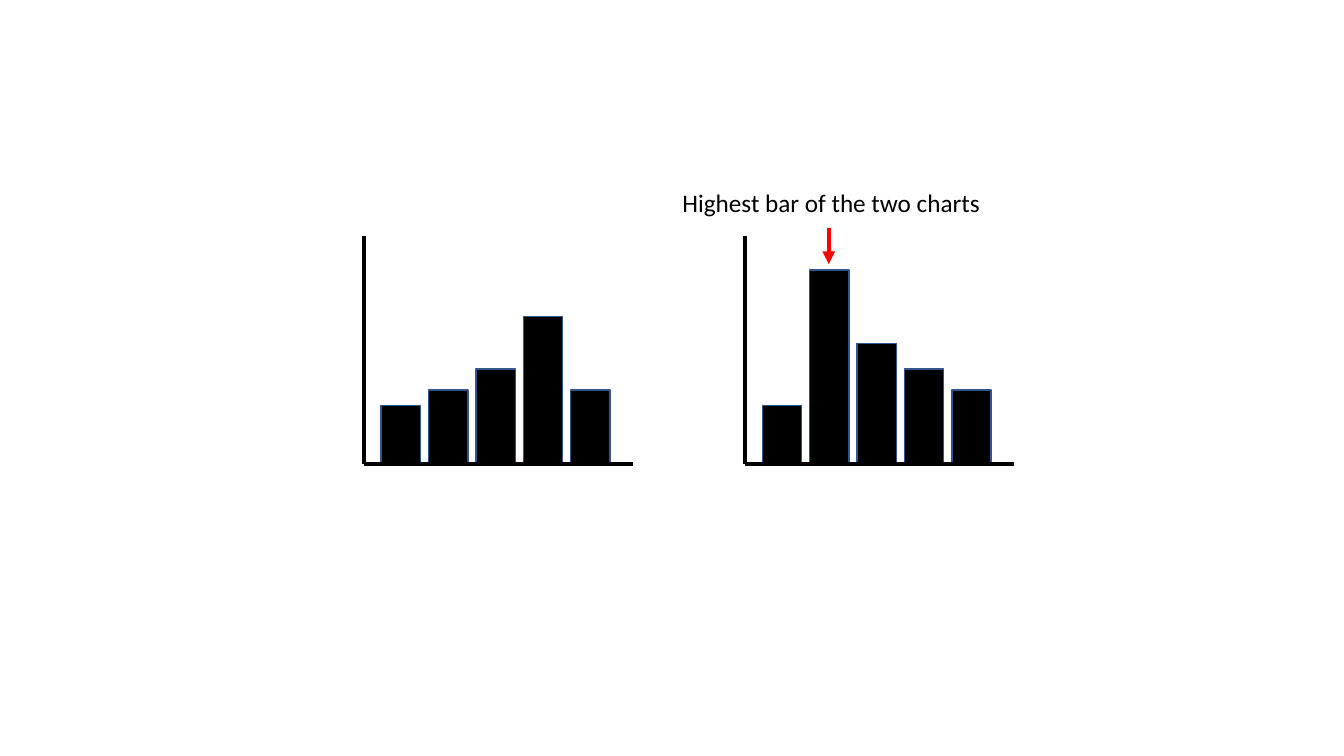
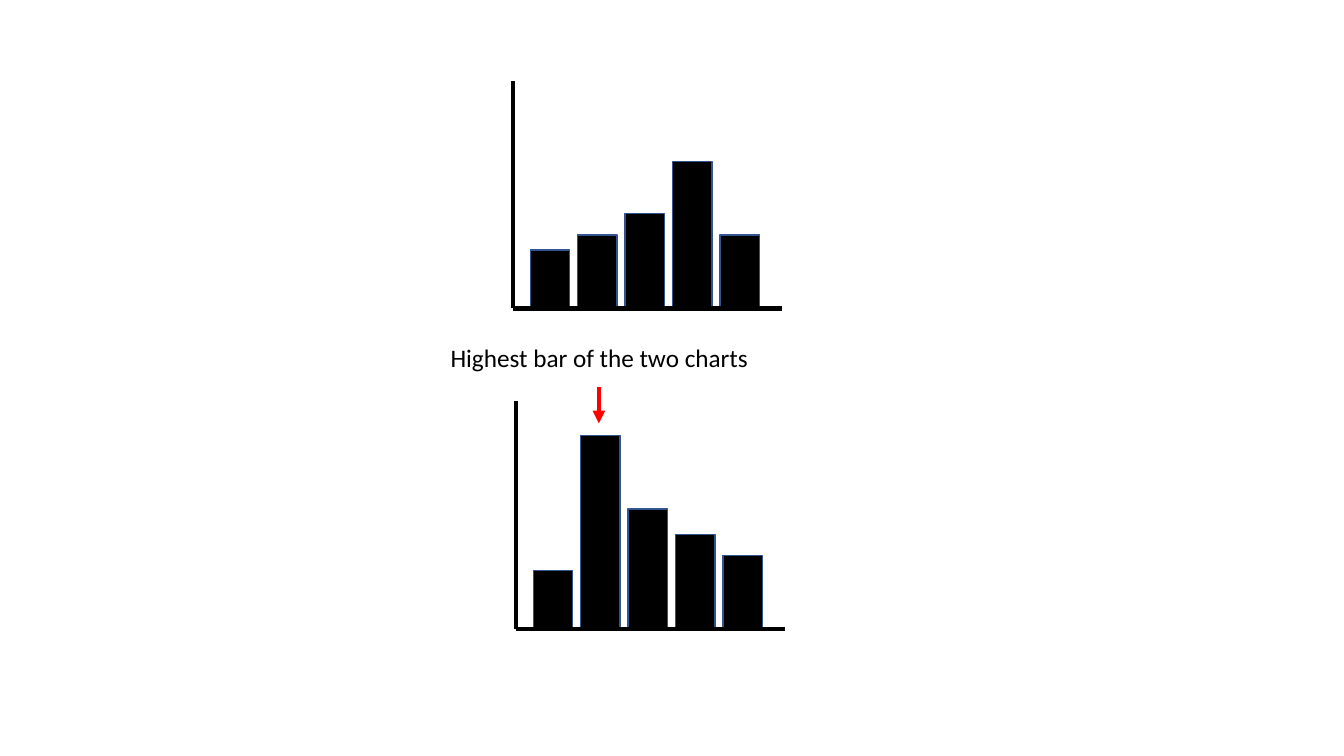
from dataclasses import dataclass

from lxml.etree import SubElement
from pptx import Presentation
from pptx.dml.color import RGBColor
from pptx.enum.shapes import MSO_CONNECTOR as CONNECTOR, MSO_SHAPE as SHAPE
from pptx.enum.text import MSO_AUTO_SIZE as AUTO_SIZE, MSO_ANCHOR as ANCHOR
from pptx.oxml.ns import qn
from pptx.util import Inches, Pt


@dataclass(frozen=True)
class Theme:
    ink: RGBColor = RGBColor(0x00, 0x00, 0x00)
    bar_edge: RGBColor = RGBColor(0x32, 0x54, 0x91)
    accent: RGBColor = RGBColor(0xFF, 0x00, 0x00)
    font: str = "Calibri"
    label_size: Pt = Pt(18)
    edge_width: Pt = Pt(1)
    line_width: Pt = Pt(3)


THEME = Theme()

# Content: bar heights in inches, and where each chart's axes meet.
RISING = (0.58, 0.73, 0.94, 1.46, 0.73)
FALLING = (0.58, 1.92, 1.19, 0.94, 0.73)
CALLOUT = "Highest bar of the two charts"

SLIDES = [
    {  # side by side
        "charts": [(RISING, (3.61, 4.6)), (FALLING, (7.39, 4.6))],
        "arrow_start": (8.22, 2.26),
        "label_corner": (6.67, 1.81),
    },
    {  # one above the other
        "charts": [(RISING, (5.09, 3.06)), (FALLING, (5.12, 6.24))],
        "arrow_start": (5.94, 3.84),
        "label_corner": (4.37, 3.35),
    },
]

# Measurements in inches.
SLIDE_SIZE = (13.33, 7.5)
AXIS_WIDTH, AXIS_HEIGHT = 2.67, 2.26
FIRST_BAR, BAR_PITCH, BAR_WIDTH = 0.17, 0.47, 0.39
ARROW_LENGTH = 0.36
LABEL_SIZE = (3.19, 0.4)


def add_line(shapes, start, end, color, arrow=False):
    line = shapes.add_connector(
        CONNECTOR.STRAIGHT, *(Inches(n) for n in (*start, *end)))
    line.line.color.rgb = color
    line.line.width = THEME.line_width
    if arrow:
        SubElement(line.line._get_or_add_ln(), qn("a:tailEnd"), type="triangle")
    SubElement(line._element.spPr, qn("a:effectLst"))


def add_bar_chart(slide, heights, origin):
    """Group the bars with the two axes that meet at origin."""
    shapes = slide.shapes.add_group_shape().shapes
    x, y = origin
    for i, height in enumerate(heights):
        left = x + FIRST_BAR + i * BAR_PITCH
        bar = shapes.add_shape(
            SHAPE.RECTANGLE,
            *(Inches(n) for n in (left, y - height, BAR_WIDTH, height)))
        bar.shadow.inherit = False
        bar.fill.solid()
        bar.fill.fore_color.rgb = THEME.ink
        bar.line.color.rgb = THEME.bar_edge
        bar.line.width = THEME.edge_width
    for end in ((x + AXIS_WIDTH, y), (x, y - AXIS_HEIGHT)):
        add_line(shapes, origin, end, THEME.ink)


def add_callout(slide, arrow_start, label_corner):
    x, y = arrow_start
    add_line(slide.shapes, arrow_start, (x, y + ARROW_LENGTH),
             THEME.accent, arrow=True)
    label = slide.shapes.add_textbox(
        *(Inches(n) for n in (*label_corner, *LABEL_SIZE)))
    frame = label.text_frame
    frame_format = {
        "word_wrap": False,
        "auto_size": AUTO_SIZE.SHAPE_TO_FIT_TEXT,
        "vertical_anchor": ANCHOR.TOP,
    }
    for attribute, value in frame_format.items():
        setattr(frame, attribute, value)
    run = frame.paragraphs[0].add_run()
    run.text = CALLOUT
    run.font.name = THEME.font
    run.font.size = THEME.label_size
    run.font.color.rgb = THEME.ink


def main():
    deck = Presentation()
    deck.slide_width, deck.slide_height = (Inches(n) for n in SLIDE_SIZE)
    blank = deck.slide_layouts[6]
    for content in SLIDES:
        slide = deck.slides.add_slide(blank)
        for heights, origin in content["charts"]:
            add_bar_chart(slide, heights, origin)
        add_callout(slide, content["arrow_start"], content["label_corner"])
    deck.save("out.pptx")


if __name__ == "__main__":
    main()
